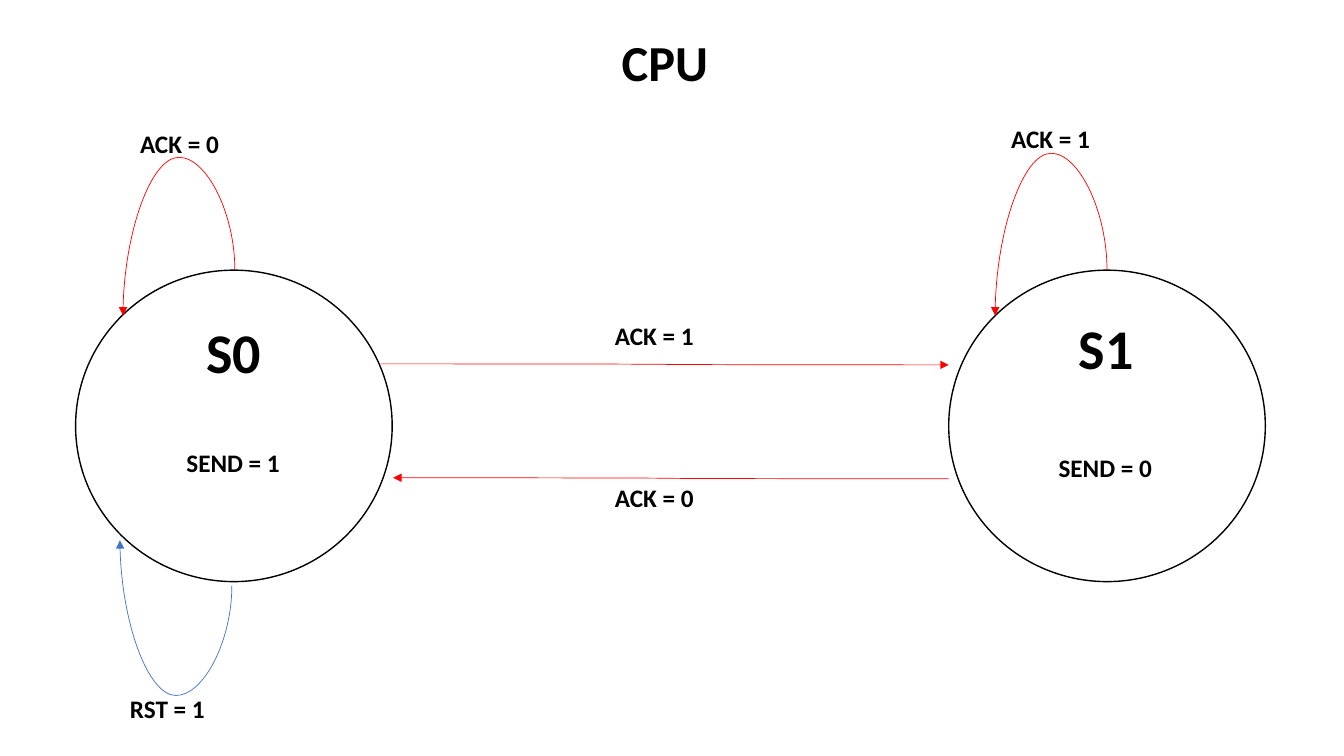
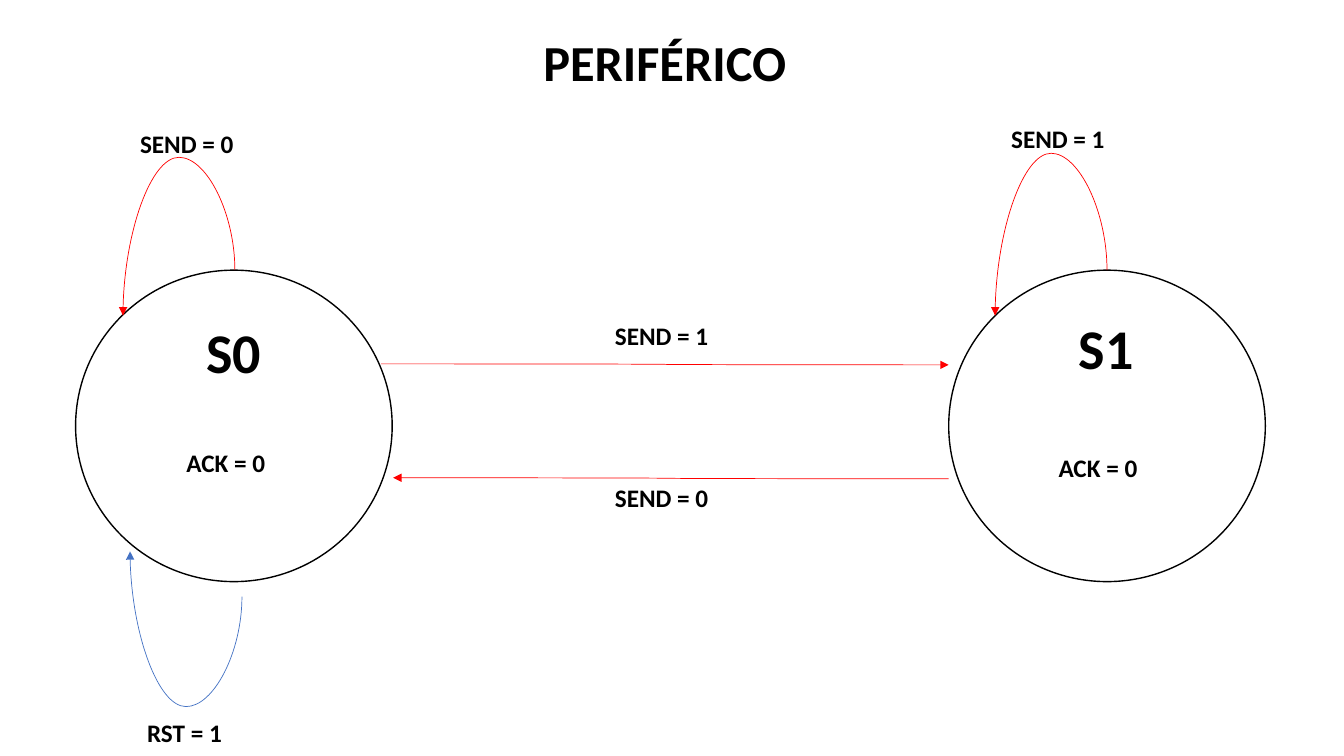
from dataclasses import dataclass

from lxml.etree import SubElement
from pptx import Presentation
from pptx.dml.color import RGBColor
from pptx.enum.shapes import MSO_CONNECTOR as CONN, MSO_SHAPE as SHAPE
from pptx.enum.text import MSO_AUTO_SIZE as AUTO, PP_ALIGN as ALIGN
from pptx.oxml.ns import qn
from pptx.util import Inches, Pt


@dataclass(frozen=True)
class Theme:
    font: str = "Calibri"
    ink: RGBColor = RGBColor(0, 0, 0)
    transition: RGBColor = RGBColor(0xFF, 0, 0)
    reset: RGBColor = RGBColor(0x44, 0x72, 0xC4)
    title: int = 36
    state: int = 40
    label: int = 18
    outline: float = 1
    arrow: float = 0.5


class Diagram:
    def __init__(self, prs, theme):
        self.prs, self.theme = prs, theme

    def new_slide(self, title):
        self.slide = self.prs.slides.add_slide(self.prs.slide_layouts[6])
        self.text(title, 2.27, 0.26, 8.65, 0.71, self.theme.title, ALIGN.CENTER)

    def text(self, text, x, y, w, h, size, align=ALIGN.LEFT):
        tf = self.slide.shapes.add_textbox(Inches(x), Inches(y), Inches(w), Inches(h)).text_frame
        tf.word_wrap = True
        tf.auto_size = AUTO.SHAPE_TO_FIT_TEXT
        p = tf.paragraphs[0]
        p.text, p.alignment = text, align
        p.font.name, p.font.size, p.font.bold = self.theme.font, Pt(size), True
        p.font.color.rgb = self.theme.ink

    def label(self, text, x, y):
        self.text(text, x, y, 2.08, 0.4, self.theme.label)

    def circle(self, x):
        s = self.slide.shapes.add_shape(SHAPE.OVAL, Inches(x), Inches(2.68), Inches(3.14), Inches(3.09))
        s.shadow.inherit = False
        s.fill.background()
        s.line.color.rgb = self.theme.ink
        s.line.width = Pt(self.theme.outline)

    def state_text(self, name, output, x, name_y, output_y):
        self.text(name, x + 0.2, name_y, 1.67, 0.77, self.theme.state)
        self.label(output, x, output_y)

    def arrow(self, x1, y1, x2, y2, color):
        s = self.slide.shapes.add_connector(CONN.CURVE, Inches(x1), Inches(y1), Inches(x2), Inches(y2))
        s.line.color.rgb = color
        s.line.width = Pt(self.theme.arrow)
        sp = s._element.spPr
        SubElement(sp.find(qn("a:ln")), qn("a:tailEnd"), type="triangle")
        SubElement(sp, qn("a:effectLst"))
        return sp

    def loop(self, x, y, height, color, below=False):
        run, rise = 1.11, 0.45
        cx, cy = x - run / 2, y + (-rise if below else rise) / 2
        sp = self.arrow(cx - rise / 2, cy - run / 2, cx + rise / 2, cy + run / 2, color)
        xfrm = sp.find(qn("a:xfrm"))
        xfrm.set("rot", str((90 if below else 270) * 60000))
        xfrm.set("flipH", "1")
        if not below:
            xfrm.set("flipV", "1")
        guides = sp.find(qn("a:prstGeom")).find(qn("a:avLst"))
        SubElement(guides, qn("a:gd"), name="adj1", fmla=f"val {round(-height / rise * 100000)}")

    def machine(self, title, signal, outputs, reset_start, reset_label):
        t = self.theme
        self.new_slide(title)
        for x in (0.75, 9.41):
            self.circle(x)
        self.arrow(3.78, 3.61, 9.41, 3.62, t.transition)
        self.arrow(9.41, 4.75, 3.9, 4.74, t.transition)
        self.loop(2.33, 2.68, 1.12, t.transition)
        self.loop(10.98, 2.68, 1.16, t.transition)
        self.loop(*reset_start, 1.09, t.reset, below=True)
        self.state_text("S0", outputs[0], 1.75, 3.1, 4.39)
        self.state_text("S1", outputs[1], 10.4, 3.06, 4.44)
        for value, x, y in ((0, 6, 4.74), (1, 6, 3.13), (0, 1.29, 1.22), (1, 9.93, 1.17)):
            self.label(f"{signal} = {value}", x, y)
        self.label("RST = 1", *reset_label)


prs = Presentation()
prs.slide_width, prs.slide_height = Inches(13.33), Inches(7.5)
diagram = Diagram(prs, Theme())
diagram.machine("CPU", "ACK", ("SEND = 1", "SEND = 0"), (2.3, 5.81), (1.19, 6.83))
diagram.machine("PERIFÉRICO", "SEND", ("ACK = 0", "ACK = 0"), (2.4, 5.92), (1.36, 7.07))
prs.save("out.pptx")
